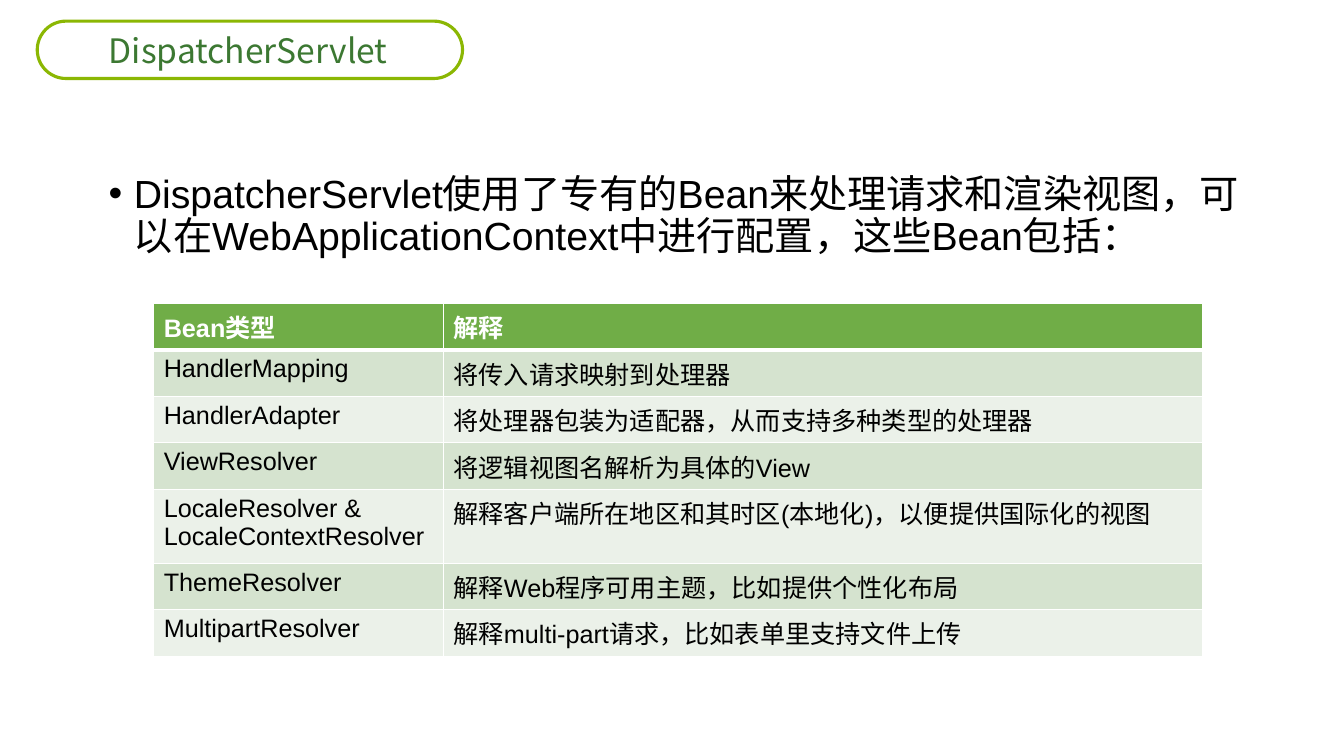
from lxml.etree import SubElement
from pptx import Presentation
from pptx.dml.color import RGBColor as RGB
from pptx.enum.shapes import MSO_SHAPE as Shape
from pptx.enum.text import MSO_AUTO_SIZE as Fit
from pptx.oxml import parse_xml
from pptx.oxml.ns import nsdecls, qn
from pptx.util import Pt

WHITE = RGB(0xFF, 0xFF, 0xFF)
BLACK = RGB(0x00, 0x00, 0x00)
LIME = RGB(0x8B, 0xB7, 0x03)
FOREST = RGB(0x3C, 0x78, 0x32)
HEAD = RGB(0x70, 0xAD, 0x47)
BANDS = RGB(0xD5, 0xE3, 0xCF), RGB(0xEB, 0xF1, 0xE9)

INTRO = ("DispatcherServlet使用了专有的Bean来处理请求和渲染视图，"
         "可以在WebApplicationContext中进行配置，这些Bean包括：")
BEANS = [
    ("Bean类型", "解释"),
    ("HandlerMapping", "将传入请求映射到处理器"),
    ("HandlerAdapter", "将处理器包装为适配器，从而支持多种类型的处理器"),
    ("ViewResolver", "将逻辑视图名解析为具体的View"),
    ("LocaleResolver & LocaleContextResolver",
     "解释客户端所在地区和其时区(本地化)，以便提供国际化的视图"),
    ("ThemeResolver", "解释Web程序可用主题，比如提供个性化布局"),
    ("MultipartResolver", "解释multi-part请求，比如表单里支持文件上传"),
]
WIDTHS = 207, 542.5
ROW, TALL = 33.2, 52.8


class Page:
    sans = "Arial"
    cjk = "Noto Sans CJK SC"

    def __init__(self, deck):
        self.slide = deck.slides.add_slide(deck.slide_layouts[6])
        self.shapes = self.slide.shapes

    def style(self, frame, size, color, font, bold=False):
        for para in frame.paragraphs:
            for run in para.runs:
                run.font.size = Pt(size)
                run.font.bold = bold
                run.font.name = font
                run.font.color.rgb = color
                east = SubElement(run.font._element, qn("a:ea"))
                east.set("typeface", self.cjk)

    def pill(self, x, y, w, h):
        pill = self.shapes.add_shape(
            Shape.ROUNDED_RECTANGLE, Pt(x), Pt(y), Pt(w), Pt(h))
        pill.adjustments[0] = 0.5
        pill.shadow.inherit = False
        pill.fill.solid()
        pill.fill.fore_color.rgb = WHITE
        pill.line.color.rgb = LIME
        pill.line.width = Pt(2.25)

    def label(self, text, x, y, w, h, size, color):
        frame = self.shapes.add_textbox(Pt(x), Pt(y), Pt(w), Pt(h)).text_frame
        frame.word_wrap = False
        frame.auto_size = Fit.SHAPE_TO_FIT_TEXT
        frame.text = text
        self.style(frame, size, color, self.cjk)

    def bullet(self, text, x, y, w, h, size):
        frame = self.shapes.add_textbox(Pt(x), Pt(y), Pt(w), Pt(h)).text_frame
        frame.word_wrap = True
        frame.text = text
        para = frame.paragraphs[0]
        para.line_spacing = 0.9
        para.space_before = Pt(10)
        props = para._p.get_or_add_pPr()
        props.set("marL", str(Pt(18)))
        props.set("indent", str(-Pt(18)))
        SubElement(props, qn("a:buFont")).set("typeface", self.sans)
        SubElement(props, qn("a:buChar")).set("char", "•")
        self.style(frame, size, BLACK, self.sans)

    def edge(self, cell, top, base):
        """Draw white borders round a cell, with the given top and base widths."""
        props = cell._tc.get_or_add_tcPr()
        sides = ("L", 1), ("R", 1), ("T", top), ("B", base)
        for spot, (side, width) in enumerate(sides):
            props.insert(spot, parse_xml(
                f'<a:ln{side} {nsdecls("a")} w="{Pt(width)}"><a:solidFill>'
                f'<a:srgbClr val="{WHITE}"/></a:solidFill></a:ln{side}>'))

    def table(self, rows, x, y, widths, heights, size):
        table = self.shapes.add_table(
            len(rows), len(widths), Pt(x), Pt(y),
            Pt(sum(widths)), Pt(sum(heights))).table
        for col, width in zip(table.columns, widths):
            col.width = Pt(width)
        for r, (row, height) in enumerate(zip(rows, heights)):
            table.rows[r].height = Pt(height)
            first = r == 0
            for c, text in enumerate(row):
                cell = table.cell(r, c)
                cell.text = text
                cell.fill.solid()
                cell.fill.fore_color.rgb = HEAD if first else BANDS[(r - 1) % 2]
                self.edge(cell, 3 if r == 1 else 1, 3 if first else 1)
                self.style(cell.text_frame, size, WHITE if first else BLACK,
                           self.sans, first)


def main():
    deck = Presentation()
    deck.slide_width, deck.slide_height = Pt(960), Pt(540)
    page = Page(deck)
    page.pill(26.6, 15.1, 303.8, 41)
    page.label("DispatcherServlet", 70.6, 18, 223.9, 36, 24, FOREST)
    page.bullet(INTRO, 70.6, 121, 828, 342.7, 28)
    heights = [TALL if "&" in name else ROW for name, _ in BEANS]
    page.table(BEANS, 109.8, 216.7, WIDTHS, heights, 18)
    deck.save("out.pptx")


if __name__ == "__main__":
    main()
